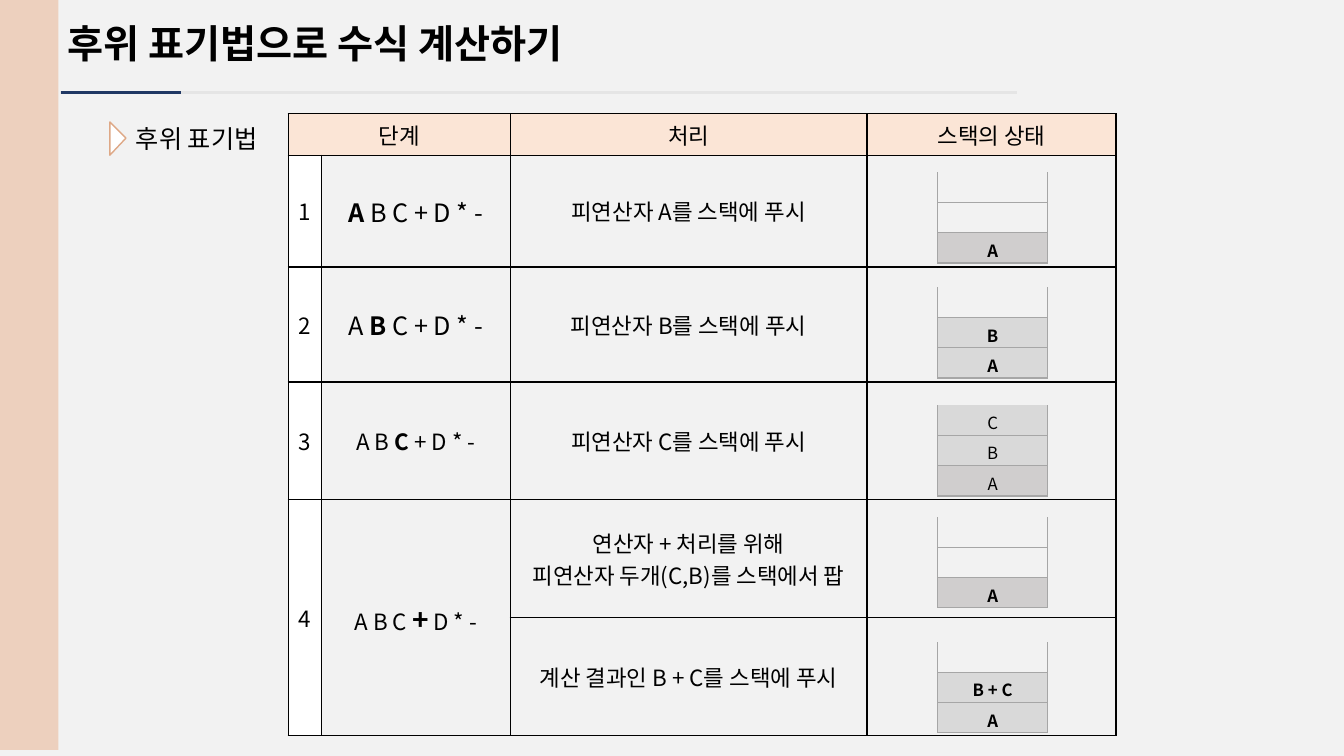
from dataclasses import dataclass

from lxml import etree
from pptx import Presentation
from pptx.dml.color import RGBColor
from pptx.enum import shapes, text
from pptx.oxml import ns
from pptx.util import Inches, Pt


@dataclass(frozen=True)
class Theme:
    font: str = "Noto Sans CJK KR"
    ink: str = "000000"
    page: str = "F2F2F2"
    band: str = "EDD0BE"
    rule: str = "E5E5E5"
    accent: str = "203864"
    marker: str = "DEA886"
    header: str = "FBE5D6"
    white: str = "FFFFFF"
    stack_line: str = "A6A6A6"
    filled: str = "D9D9D9"
    bottom: str = "D0CECE"
    title: int = 28
    large: int = 18
    body: int = 16
    operator: int = 20
    small: int = 12


THEME = Theme()
EXPRESSION = "A B C + D * -"

# Step number, token being read, expression size, token size
STEPS = [
    ("1", "A", THEME.large, THEME.large),
    ("2", "B", THEME.large, THEME.large),
    ("3", "C", THEME.body, THEME.body),
    ("4", "+", THEME.body, THEME.operator),
]
ACTIONS = [
    ["피연산자 A를 스택에 푸시"],
    ["피연산자 B를 스택에 푸시"],
    ["피연산자 C를 스택에 푸시"],
    ["연산자 + 처리를 위해", "피연산자 두개(C,B)를 스택에서 팝"],
    ["계산 결과인 B + C를 스택에 푸시"],
]
# Top edge, contents from top to bottom, bottom cell colour, bold
STACKS = [
    (1.71, ["", "", "A"], THEME.bottom, True),
    (2.85, ["", "B", "A"], THEME.filled, True),
    (4.02, ["C", "B", "A"], THEME.bottom, False),
    (5.13, ["", "", "A"], THEME.bottom, True),
    (6.37, ["", "B + C", "A"], THEME.filled, True),
]


def rgb(value):
    return RGBColor.from_string(value)


def style_run(run, size, bold=False):
    run.font.size, run.font.bold = Pt(size), bold
    run.font.name = THEME.font
    run.font.color.rgb = rgb(THEME.ink)
    east_asian = etree.SubElement(run.font._element, ns.qn("a:ea"))
    east_asian.set("typeface", THEME.font)


def add_label(slide, box, words, size, bold=False, spacing=None):
    frame = slide.shapes.add_textbox(*map(Inches, box)).text_frame
    frame.word_wrap = True
    frame.text = words
    paragraph = frame.paragraphs[0]
    if spacing:
        paragraph.line_spacing = Pt(spacing)
    style_run(paragraph.runs[0], size, bold)


def add_rule(slide, left, right, color):
    rule = slide.shapes.add_connector(
        shapes.MSO_CONNECTOR.STRAIGHT, Inches(left), Inches(0.92), Inches(right), Inches(0.92))
    rule.line.color.rgb, rule.line.width = rgb(color), Pt(2)
    etree.SubElement(rule._element.spPr, ns.qn("a:effectLst"))


def add_band(slide):
    band = slide.shapes.add_shape(
        shapes.MSO_SHAPE.RECTANGLE, Inches(-0.02), Inches(-0.08), Inches(0.6), Inches(7.52))
    band.shadow.inherit = False
    band.fill.solid()
    band.fill.fore_color.rgb = rgb(THEME.band)
    band.line.fill.background()


def add_marker(slide):
    outline = slide.shapes.build_freeform(Inches(1.09), Inches(1.54))
    outline.add_line_segments([(Inches(1.25), Inches(1.37)), (Inches(1.09), Inches(1.21))])
    marker = outline.convert_to_shape()
    marker.shadow.inherit = False
    marker.fill.solid()
    marker.fill.fore_color.rgb = rgb(THEME.white)
    marker.line.color.rgb, marker.line.width = rgb(THEME.marker), Pt(1)


def set_borders(cell, color, open_top=False):
    properties = cell._tc.get_or_add_tcPr()
    for side in "LRTB":
        line = etree.SubElement(properties, ns.qn(f"a:ln{side}"), w=str(Pt(1)))
        if side == "T" and open_top:
            etree.SubElement(line, ns.qn("a:noFill"))
        else:
            fill = etree.SubElement(line, ns.qn("a:solidFill"))
            etree.SubElement(fill, ns.qn("a:srgbClr"), val=color)


def set_fill(cell, color):
    cell.fill.solid()
    cell.fill.fore_color.rgb = rgb(color)


def add_grid(slide, left, top, widths, heights):
    table = slide.shapes.add_table(
        len(heights), len(widths), Inches(left), Inches(top),
        Inches(sum(widths)), Inches(sum(heights))).table
    table.first_row = table.horz_banding = False
    for column, width in zip(table.columns, widths):
        column.width = Inches(width)
    for row, height in zip(table.rows, heights):
        row.height = Inches(height)
    return table


def write_cell(cell, lines, size=THEME.body, bold=False):
    cell.vertical_anchor = text.MSO_ANCHOR.MIDDLE
    cell.text_frame.text = "\n".join(lines)
    for paragraph in cell.text_frame.paragraphs:
        paragraph.alignment = text.PP_ALIGN.CENTER
        for run in paragraph.runs:
            style_run(run, size, bold)


def write_expression(cell, token, size, token_size):
    cell.vertical_anchor = text.MSO_ANCHOR.MIDDLE
    paragraph = cell.text_frame.paragraphs[0]
    paragraph.alignment = text.PP_ALIGN.CENTER
    for part in filter(None, EXPRESSION.partition(token)):
        run = paragraph.add_run()
        run.text = part
        current = part == token
        style_run(run, token_size if current else size, current)


def add_steps(slide):
    table = add_grid(slide, 2.86, 1.13, [0.33, 1.87, 3.54, 2.47],
                     [0.41, 1.11, 1.14, 1.17, 1.17, 1.17])
    for cell in table.iter_cells():
        set_borders(cell, THEME.ink)
        cell.fill.background()

    # Header and merged cells
    table.cell(0, 0).merge(table.cell(0, 1))
    for column in (0, 1):
        table.cell(4, column).merge(table.cell(5, column))
    for column, heading in ((0, "단계"), (2, "처리"), (3, "스택의 상태")):
        write_cell(table.cell(0, column), [heading])
        set_fill(table.cell(0, column), THEME.header)

    # Steps and what each one does
    for row, (number, token, size, token_size) in enumerate(STEPS, 1):
        write_cell(table.cell(row, 0), [number])
        set_fill(table.cell(row, 0), THEME.white)
        write_expression(table.cell(row, 1), token, size, token_size)
    for row, lines in enumerate(ACTIONS, 1):
        write_cell(table.cell(row, 2), lines)


def add_stack(slide, top, items, bottom_color, bold):
    table = add_grid(slide, 9.3, top, [1.09], [0.3] * len(items))
    last = len(items) - 1
    for row, item in enumerate(items):
        cell = table.cell(row, 0)
        set_borders(cell, THEME.stack_line, open_top=row == 0)
        color = bottom_color if row == last else THEME.filled
        set_fill(cell, color if item else THEME.page)
        cell.margin_bottom = 0
        if item:
            write_cell(cell, [item], THEME.small, bold)
            cell.vertical_anchor = text.MSO_ANCHOR.TOP
        else:
            # Small end mark keeps an empty slot at its set height
            etree.SubElement(cell.text_frame.paragraphs[0]._p, ns.qn("a:endParaRPr"),
                             sz=str(THEME.small * 100))


def main():
    deck = Presentation()
    deck.slide_width, deck.slide_height = Inches(13.33), Inches(7.5)
    slide = deck.slides.add_slide(deck.slide_layouts[6])
    slide.background.fill.solid()
    slide.background.fill.fore_color.rgb = rgb(THEME.page)

    # Title area
    add_band(slide)
    add_label(slide, (0.57, 0.19, 6.08, 0.52), "후위 표기법으로 수식 계산하기",
              THEME.title, bold=True, spacing=30)
    add_rule(slide, 0.6, 10.09, THEME.rule)
    add_rule(slide, 0.61, 1.8, THEME.accent)

    # Topic
    add_marker(slide)
    add_label(slide, (1.25, 1.17, 1.82, 0.4), "후위 표기법", THEME.large)

    # Evaluation steps and stack states
    add_steps(slide)
    for stack in STACKS:
        add_stack(slide, *stack)

    deck.save("out.pptx")


if __name__ == "__main__":
    main()
